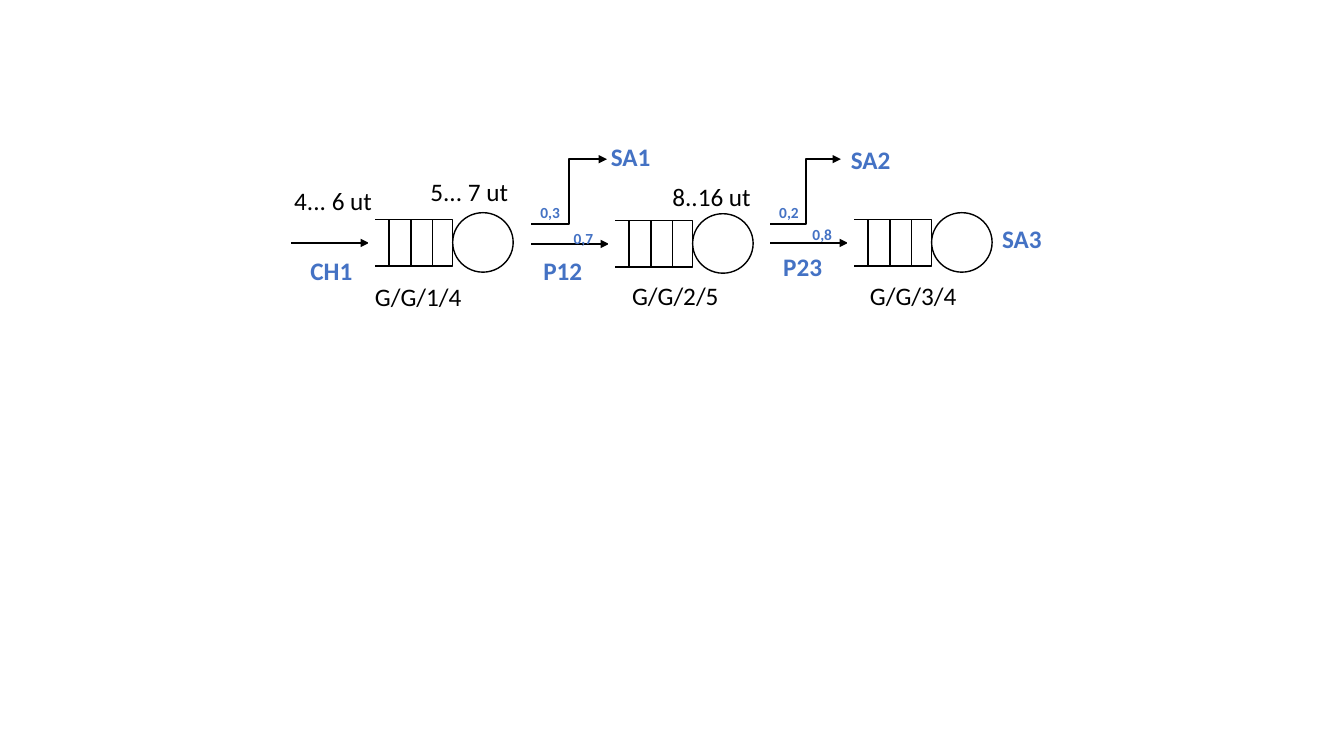
from dataclasses import dataclass

from pptx import Presentation
from pptx import util as u
from pptx.dml.color import RGBColor
from pptx.enum import shapes, text
from pptx.oxml.ns import qn
from lxml import etree


@dataclass(frozen=True)
class Theme:
    font: str = "Calibri"
    ink: str = "000000"
    accent: str = "4472C4"
    paper: str = "FFFFFF"
    label_size: float = 18
    share_size: float = 11
    outline: float = 1
    flow: float = 1.5


def write(frame, words, size, color, font, bold=False):
    """Put one formatted run into a text frame."""
    run = frame.paragraphs[0].add_run()
    run.text = words
    run.font.name = font
    run.font.size = u.Pt(size)
    run.font.bold = bold
    run.font.color.rgb = RGBColor.from_string(color)


class QueueDiagram:
    def __init__(self, slide, theme):
        self.slide = slide
        self.theme = theme

    def box(self, kind, left, top, width, height, line=None):
        shape = self.slide.shapes.add_shape(
            kind, *(u.Inches(v) for v in (left, top, width, height)))
        shape.shadow.inherit = False
        shape.fill.solid()
        shape.fill.fore_color.rgb = RGBColor.from_string(self.theme.paper)
        shape.line.color.rgb = RGBColor.from_string(line or self.theme.ink)
        shape.line.width = u.Pt(self.theme.outline)
        return shape

    def line(self, start, end, elbow=False, arrow=False):
        kind = shapes.MSO_CONNECTOR.ELBOW if elbow else shapes.MSO_CONNECTOR.STRAIGHT
        connector = self.slide.shapes.add_connector(
            kind, *(u.Inches(v) for v in (*start, *end)))
        connector.line.color.rgb = RGBColor.from_string(self.theme.ink)
        connector.line.width = u.Pt(self.theme.flow)
        if arrow:
            etree.SubElement(connector.line._get_or_add_ln(), qn("a:tailEnd"), type="triangle")
        etree.SubElement(connector._element.spPr, qn("a:effectLst"))
        return connector

    def label(self, words, left, top, width, height=0.4, size=None, accent=False):
        frame = self.slide.shapes.add_textbox(
            *(u.Inches(v) for v in (left, top, width, height))).text_frame
        frame.word_wrap = True
        frame.margin_right = 0
        frame.auto_size = text.MSO_AUTO_SIZE.SHAPE_TO_FIT_TEXT
        write(frame, words, size or self.theme.label_size,
              self.theme.accent if accent else self.theme.ink,
              self.theme.font, bold=accent)

    def station(self, left, top, mask_top):
        """Arrow in, queue with places, server circle, open queue end."""
        rect = shapes.MSO_SHAPE.RECTANGLE
        middle = top + 0.23
        queue = self.box(rect, left, top, 0.83, 0.46)
        places = self.box(rect, left + 0.2, top, 0.43, 0.46)
        arrival = self.line((left - 0.77, middle), (left, middle), arrow=True)
        arrival.end_connect(queue, 1)
        divider = self.line((left + 0.42, top), (left + 0.42, top + 0.46))
        divider.begin_connect(places, 0)
        divider.end_connect(places, 2)
        self.box(shapes.MSO_SHAPE.OVAL, left + 0.83, top - 0.07, 0.6, 0.59)
        self.box(rect, left, mask_top, 0.05, 0.59, line=self.theme.paper)


def main():
    prs = Presentation()
    prs.slide_width, prs.slide_height = u.Inches(13.33), u.Inches(7.5)
    theme = Theme()
    diagram = QueueDiagram(prs.slides.add_slide(prs.slide_layouts[6]), theme)

    # Service stations
    for left, top, mask_top in ((3.66, 2.18, 2.12), (6.04, 2.19, 2.15), (8.41, 2.18, 2.17)):
        diagram.station(left, top, mask_top)

    # Exits between stations
    for left, right in ((5.27, 6.02), (7.64, 8.34)):
        diagram.line((left, 2.22), (right, 1.58), elbow=True, arrow=True)

    # Arrivals, transfers and exits
    for name, left, top in (("CH1", 2.98, 2.48), ("P12", 5.29, 2.48), ("P23", 7.67, 2.44),
                            ("SA1", 5.96, 1.35), ("SA2", 8.34, 1.38), ("SA3", 9.84, 2.17)):
        diagram.label(name, left, top, 0.67, accent=True)

    # Routing shares
    for share, left, top in (("0,7", 5.59, 2.22), ("0,3", 5.26, 1.97),
                             ("0,8", 7.96, 2.18), ("0,2", 7.63, 1.97)):
        diagram.label(share, left, top, 0.42, 0.29, size=theme.share_size, accent=True)

    # Times and queue models
    for words, left, top, width in (
            ("4... 6 ut", 2.82, 1.79, 0.97), ("5... 7 ut", 4.17, 1.7, 1.06),
            ("8..16 ut", 6.57, 1.75, 1.06), ("G/G/1/4", 3.62, 2.74, 1.08),
            ("G/G/2/5", 6.17, 2.73, 1.08), ("G/G/3/4", 8.53, 2.73, 1.08)):
        diagram.label(words, left, top, width)

    prs.save("out.pptx")


if __name__ == "__main__":
    main()
